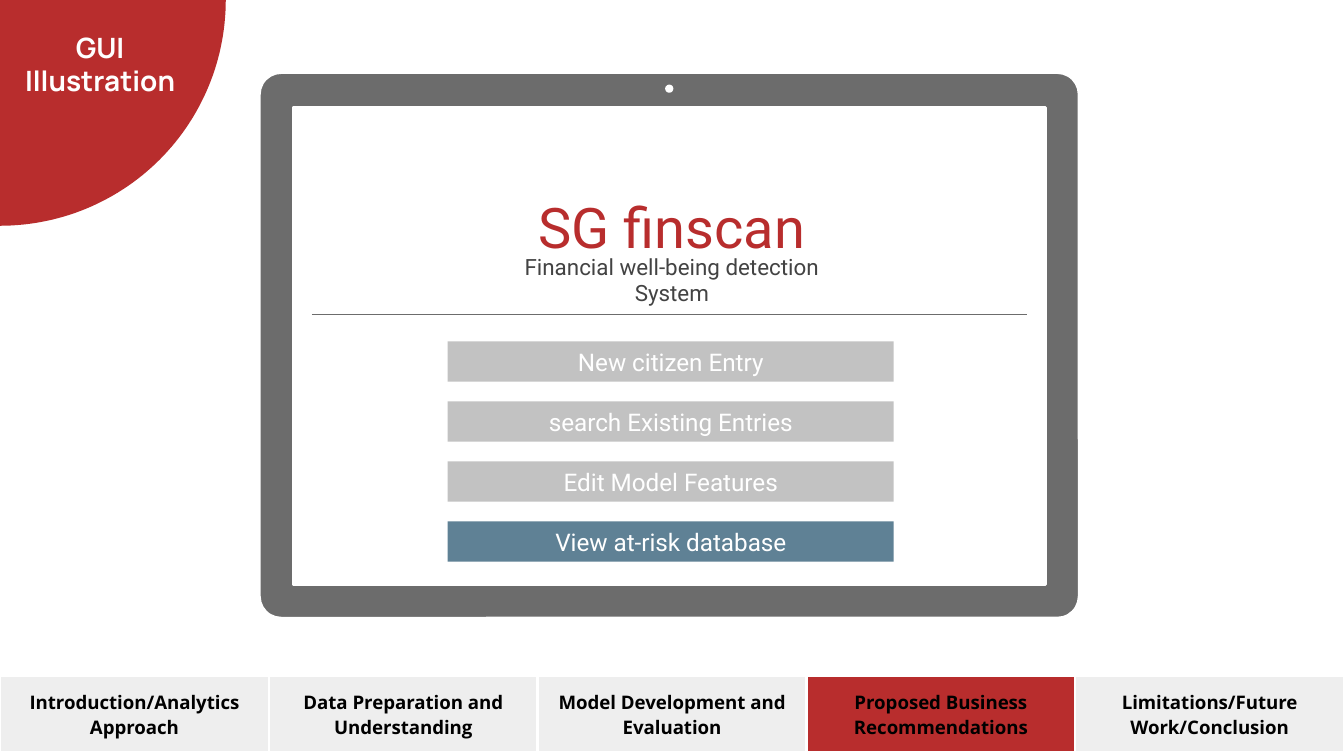
from math import cos, pi, sin

from lxml import etree
from pptx import Presentation
from pptx.dml.color import RGBColor
from pptx.enum.shapes import MSO_CONNECTOR, MSO_SHAPE
from pptx.enum.text import MSO_ANCHOR, PP_ALIGN
from pptx.oxml.ns import qn
from pptx.util import Inches, Pt

RED = RGBColor(0xB8, 0x2D, 0x2D)
WHITE = RGBColor(0xFF, 0xFF, 0xFF)
BLACK = RGBColor(0, 0, 0)
DARK = RGBColor(0x43, 0x43, 0x43)
FRAME = RGBColor(0x6C, 0x6C, 0x6C)
BUTTON = RGBColor(0xC2, 0xC2, 0xC2)
ACTIVE = RGBColor(0x5F, 0x81, 0x95)
TAB = RGBColor(0xEE, 0xEE, 0xEE)

RECT, ROUNDED, OVAL = MSO_SHAPE.RECTANGLE, MSO_SHAPE.ROUNDED_RECTANGLE, MSO_SHAPE.OVAL
STRAIGHT = MSO_CONNECTOR.STRAIGHT
CENTER = PP_ALIGN.CENTER
TOP, MIDDLE = MSO_ANCHOR.TOP, MSO_ANCHOR.MIDDLE

BUTTONS = ["New citizen Entry", "search Existing Entries",
           "Edit Model Features", "View at-risk database"]
SECTIONS = ["Introduction/Analytics Approach", "Data Preparation and Understanding",
            "Model Development and Evaluation", "Proposed Business Recommendations",
            "Limitations/Future Work/Conclusion"]
CURRENT_SECTION = 3


def set_text(tf, text, size, font, color, bold=False):
    tf.text = text
    for p in tf.paragraphs:
        p.alignment = CENTER
        p.font.size = Pt(size)
        p.font.name = font
        p.font.bold = bold
        p.font.color.rgb = color


def set_frame(tf, anchor):
    tf.word_wrap = True
    tf.vertical_anchor = anchor
    tf.margin_left = tf.margin_right = Inches(0.1)
    tf.margin_top = tf.margin_bottom = Inches(0.1)


def add_box(s, kind, left, top, width, height, fill, outline=None):
    sp = s.shapes.add_shape(kind, Inches(left), Inches(top), Inches(width), Inches(height))
    sp.shadow.inherit = False
    sp.fill.solid()
    sp.fill.fore_color.rgb = fill
    if outline is None:
        sp.line.fill.background()
    else:
        sp.line.color.rgb = outline
        sp.line.width = Pt(1.5)
    return sp


def add_label(s, left, top, width, height, text, size, color, anchor):
    tf = s.shapes.add_textbox(Inches(left), Inches(top), Inches(width), Inches(height)).text_frame
    set_frame(tf, anchor)
    set_text(tf, text, size, "Roboto", color)


def add_corner(s, radius, steps=60):
    """Quarter disc in the slide's top left corner."""
    arc = [(Inches(radius * cos(i * pi / 2 / steps)), Inches(radius * sin(i * pi / 2 / steps)))
           for i in range(steps + 1)]
    builder = s.shapes.build_freeform(0, 0)
    builder.add_line_segments(arc, close=True)
    sp = builder.convert_to_shape()
    sp.shadow.inherit = False
    sp.fill.solid()
    sp.fill.fore_color.rgb = RED
    sp.line.fill.background()


def add_title(s):
    title = s.shapes.title
    title.left, title.top = Inches(-0.59), Inches(0.14)
    title.width, title.height = Inches(2.67), Inches(0.67)
    set_frame(title.text_frame, MIDDLE)
    set_text(title.text_frame, "GUI\nIllustration", 15, "Manrope", WHITE, bold=True)
    s.shapes.element.append(title.element)  # bring in front of the corner


def add_tablet(s):
    body = add_box(s, ROUNDED, 1.93, 0.54, 6.1, 4.06, FRAME, WHITE)
    body.adjustments[0] = 0.04
    add_box(s, RECT, 2.18, 0.8, 5.6, 3.55, WHITE, WHITE)
    add_box(s, OVAL, 4.96, 0.64, 0.04, 0.04, WHITE, WHITE)


def add_divider(s, left, right, top):
    line = s.shapes.add_connector(STRAIGHT, Inches(left), Inches(top), Inches(right), Inches(top))
    line.line.color.rgb = FRAME
    line.line.width = Pt(0.75)
    etree.SubElement(line.element.spPr, qn("a:effectLst"))


def add_buttons(s, first_top, last_top):
    last = len(BUTTONS) - 1
    step = (last_top - first_top) / last
    for i, text in enumerate(BUTTONS):
        fill = ACTIVE if i == last else BUTTON
        sp = add_box(s, RECT, 3.33, first_top + step * i, 3.32, 0.3, fill)
        set_frame(sp.text_frame, MIDDLE)
        set_text(sp.text_frame, text, 13, "Roboto", WHITE)


def set_borders(cell, color, width):
    tc_pr = cell._tc.get_or_add_tcPr()
    for i, side in enumerate(("lnL", "lnR", "lnT", "lnB")):
        ln = etree.Element(qn(f"a:{side}"), w=str(Pt(width)))
        fill = etree.SubElement(ln, qn("a:solidFill"))
        etree.SubElement(fill, qn("a:srgbClr"), val=str(color))
        tc_pr.insert(i, ln)


def add_section_bar(s):
    table = s.shapes.add_table(1, len(SECTIONS), 0, Inches(5.03), Inches(10), Inches(0.57)).table
    table.first_row = table.horz_banding = False
    for i, text in enumerate(SECTIONS):
        cell = table.cell(0, i)
        cell.fill.solid()
        cell.fill.fore_color.rgb = RED if i == CURRENT_SECTION else TAB
        cell.vertical_anchor = MIDDLE
        cell.margin_left = cell.margin_right = Inches(0.1)
        cell.margin_top = cell.margin_bottom = Inches(0.1)
        set_text(cell.text_frame, text, 10, "Open Sans", BLACK, bold=True)
        set_borders(cell, WHITE, 1.5)


def main():
    prs = Presentation()
    prs.slide_width = Inches(10)
    prs.slide_height = prs.slide_width * 9 // 16
    s = prs.slides.add_slide(prs.slide_layouts[5])

    # Slide heading
    add_corner(s, 1.68)
    add_title(s)

    # Tablet with the app's start screen
    add_tablet(s)
    add_label(s, 3.6, 1.78, 2.8, 0.35, "Financial well-being detection System", 12, DARK, TOP)
    add_label(s, 3.6, 1.51, 2.8, 0.35, "SG finscan", 30, RED, MIDDLE)
    add_divider(s, 2.32, 7.64, 2.34)
    add_buttons(s, 2.54, 3.88)

    # Progress through the talk
    add_section_bar(s)

    prs.save("out.pptx")


if __name__ == "__main__":
    main()
